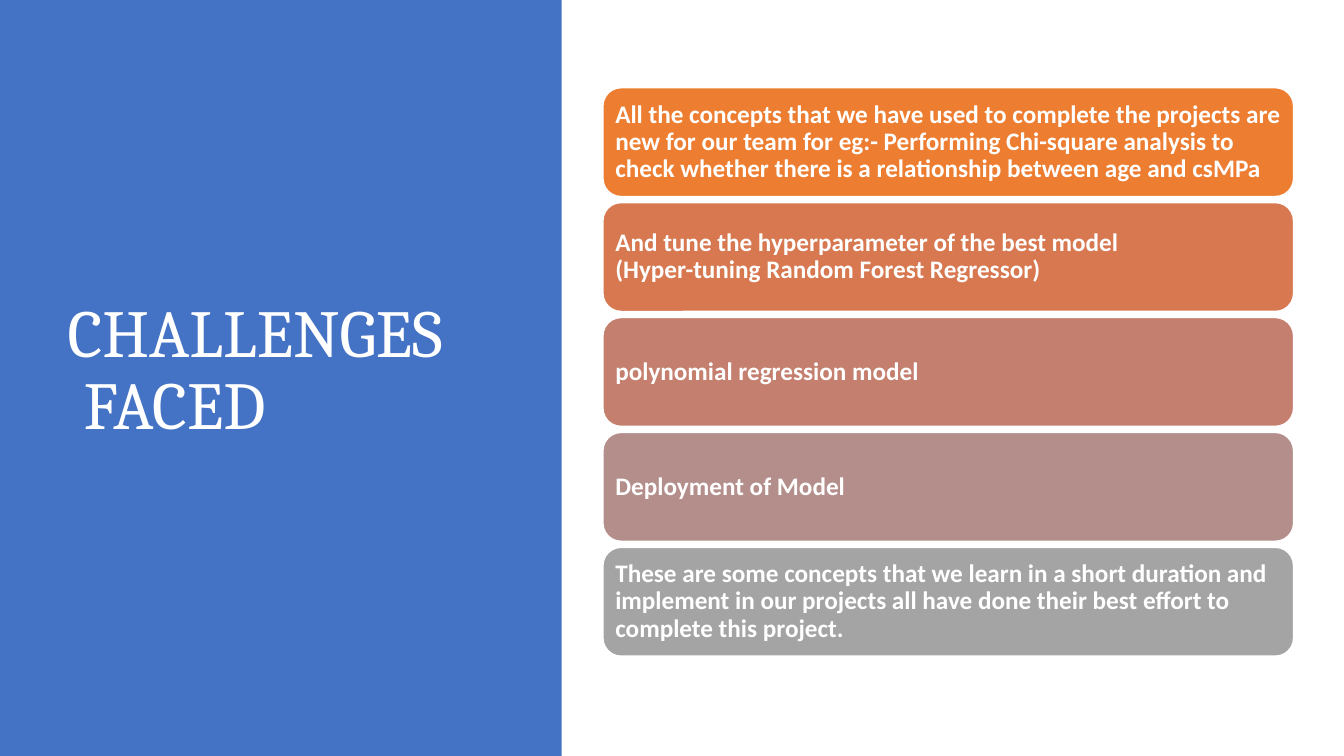
from pptx import Presentation
from pptx.dml.color import RGBColor
from pptx.enum.shapes import MSO_SHAPE
from pptx.enum.text import MSO_ANCHOR, MSO_AUTO_SIZE, PP_ALIGN
from pptx.util import Inches, Pt

RECTANGLE = MSO_SHAPE.RECTANGLE
ROUNDED = MSO_SHAPE.ROUNDED_RECTANGLE
MIDDLE = MSO_ANCHOR.MIDDLE
LEFT = PP_ALIGN.LEFT
NO_AUTOFIT = MSO_AUTO_SIZE.NONE

WHITE = "FFFFFF"
PANEL_BLUE = "4472C4"
TITLE_LINES = [("CHALLENGES", 0), ("FACED", 0.16)]
CHALLENGES = [
    ("ED7D31", ["All the concepts that we have used to complete the projects are new "
                "for our team for eg:- Performing Chi-square analysis to check whether "
                "there is a relationship between age and csMPa"]),
    ("D77850", ["And tune the hyperparameter of the best model",
                "(Hyper-tuning Random Forest Regressor)"]),
    ("C47F6E", ["polynomial regression model"]),
    ("B38E8A", ["Deployment of Model"]),
    ("A4A4A4", ["These are some concepts that we learn in a short duration and "
                "implement in our projects all have done their best effort to "
                "complete this project."]),
]
CARD_LEFT, CARD_TOP, CARD_WIDTH, CARD_HEIGHT = 5.98, 0.87, 6.85, 1.08
CARD_PITCH = 1.14
CARD_INSET = 0.07


def color(hex_value):
    return RGBColor.from_string(hex_value)


def add_box(slide, kind, left, top, width, height, fill):
    shape = slide.shapes.add_shape(
        kind, Inches(left), Inches(top), Inches(width), Inches(height))
    shape.shadow.inherit = False
    shape.fill.solid()
    shape.fill.fore_color.rgb = color(fill)
    return shape


def write_lines(frame, lines, font_name, size, bold):
    frame.word_wrap = True
    frame.auto_size = NO_AUTOFIT
    frame.vertical_anchor = MIDDLE
    frame.text = "\n".join(lines)
    for paragraph in frame.paragraphs:
        paragraph.alignment = LEFT
        paragraph.line_spacing = 0.9
        paragraph.font.name = font_name
        paragraph.font.size = Pt(size)
        paragraph.font.bold = bold
        paragraph.font.color.rgb = color(WHITE)


def add_title(slide):
    title = slide.shapes.title
    title.left, title.top = Inches(0.57), Inches(0.68)
    title.width, title.height = Inches(4.16), Inches(6.02)
    write_lines(title.text_frame, [text for text, _ in TITLE_LINES], "Cambria", 48, False)
    for paragraph, (_, indent) in zip(title.text_frame.paragraphs, TITLE_LINES):
        paragraph._p.get_or_add_pPr().set("marL", str(Inches(indent)))


def add_panel(slide):
    panel = add_box(slide, RECTANGLE, 0, 0, 5.57, 7.5, PANEL_BLUE)
    panel.line.fill.background()
    slide.shapes.title._element.addprevious(panel._element)


def add_card(slide, index, fill, lines):
    card = add_box(slide, ROUNDED, CARD_LEFT, CARD_TOP + index * CARD_PITCH,
                   CARD_WIDTH, CARD_HEIGHT, fill)
    card.adjustments[0] = 0.167
    card.line.color.rgb = color(WHITE)
    card.line.width = Pt(1)
    frame = card.text_frame
    frame.margin_left = frame.margin_right = Inches(CARD_INSET)
    frame.margin_top = frame.margin_bottom = Inches(CARD_INSET)
    write_lines(frame, lines, "Calibri", 18, True)


def main():
    presentation = Presentation()
    presentation.slide_width = Inches(13.33)
    presentation.slide_height = Inches(7.5)
    slide = presentation.slides.add_slide(presentation.slide_layouts[5])
    add_title(slide)
    add_panel(slide)
    for index, (fill, lines) in enumerate(CHALLENGES):
        add_card(slide, index, fill, lines)
    presentation.save("out.pptx")


if __name__ == "__main__":
    main()
